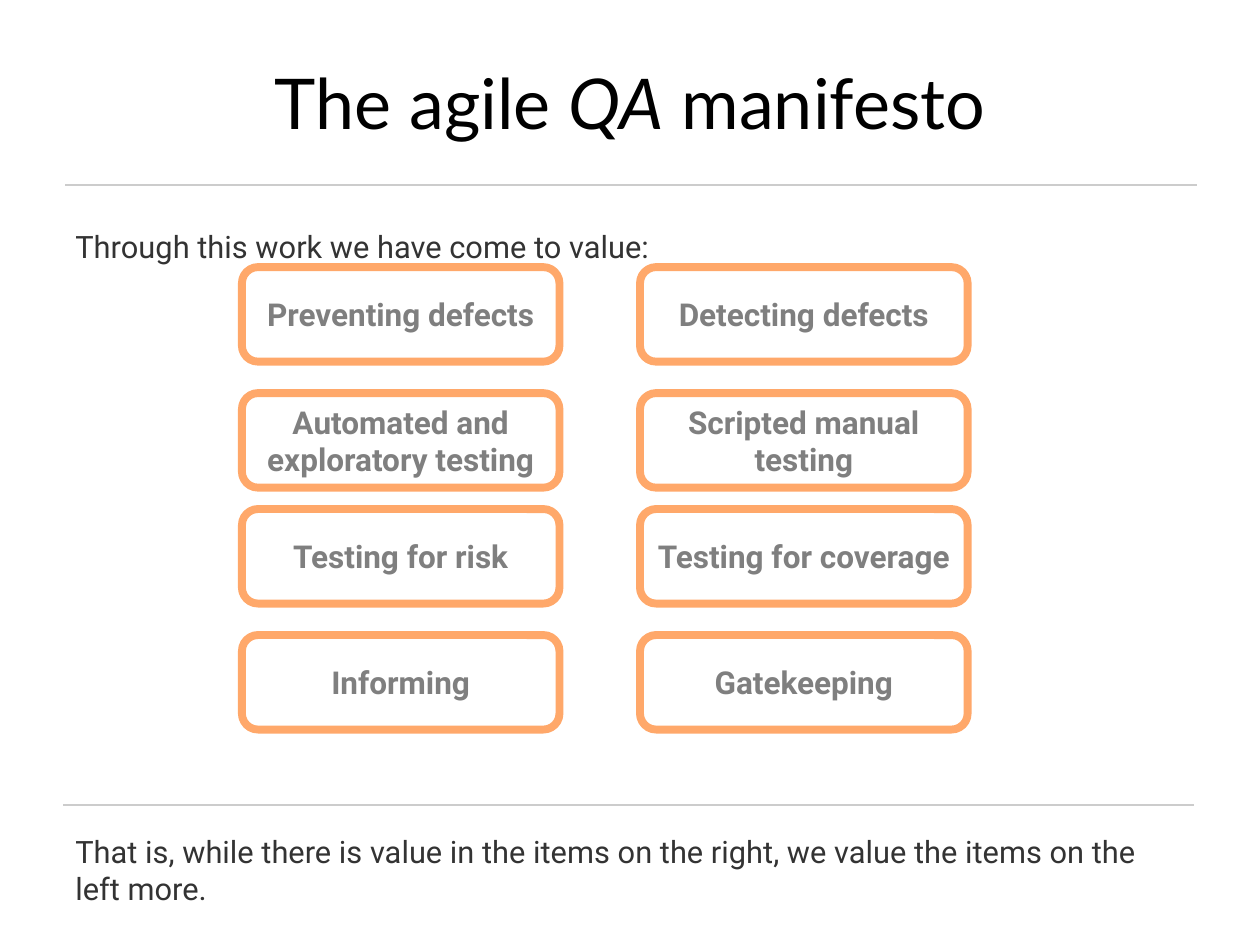
from lxml.etree import SubElement
from pptx import Presentation
from pptx.dml.color import RGBColor
from pptx.enum.shapes import MSO_CONNECTOR, MSO_SHAPE
from pptx.enum.text import MSO_ANCHOR, PP_ALIGN
from pptx.oxml.ns import qn
from pptx.util import Inches, Pt

# Content
TITLE = [("The agile ", False), ("QA", True), (" manifesto", False)]
INTRO = "Through this work we have come to value:"
CLOSING = ("That is, while there is value in the items on the right, "
           "we value the items on the left more.")
VALUES = [
    ("Preventing defects", "Detecting defects"),
    ("Automated and exploratory testing", "Scripted manual testing"),
    ("Testing for risk", "Testing for coverage"),
    ("Informing", "Gatekeeping"),
]

# Layout in inches
COLUMNS = [(1.92, 2.52), (5.08, 2.6)]  # left, width
ROW_TOPS = [2.12, 3.12, 4.04, 5.04]
CARD_HEIGHT = 0.75
RULES = [(0.52, 1.47), (0.5, 6.39)]  # left, top
RULE_WIDTH = 8.98
STATEMENTS = [(INTRO, 1.76, 0.4), (CLOSING, 6.56, 0.7)]  # text, top, height

BLACK = RGBColor(0x00, 0x00, 0x00)
DARK = RGBColor(0x33, 0x33, 0x33)
GREY = RGBColor(0x7F, 0x7F, 0x7F)
RULE_GREY = RGBColor(0xCC, 0xCC, 0xCC)
ORANGE = RGBColor(0xFF, 0xA8, 0x6A)
WHITE = RGBColor(0xFF, 0xFF, 0xFF)


def add_run(paragraph, text, font_name, size, color, bold=False, italic=False):
    run = paragraph.add_run()
    run.text = text
    font = run.font
    font.name, font.size = font_name, Pt(size)
    font.bold, font.italic = bold, italic
    font.color.rgb = color


def add_rule(slide, left, top):
    rule = slide.shapes.add_connector(
        MSO_CONNECTOR.STRAIGHT, Inches(left), Inches(top),
        Inches(left + RULE_WIDTH), Inches(top))
    rule.line.color.rgb = RULE_GREY
    rule.line.width = Pt(1)
    SubElement(rule._element.spPr, qn("a:effectLst"))


def add_statement(slide, text, top, height):
    statement = slide.shapes.add_textbox(
        Inches(0.5), Inches(top), Inches(9), Inches(height))
    statement.text_frame.word_wrap = True
    add_run(statement.text_frame.paragraphs[0], text, "Roboto", 17.6, DARK)


def add_card(slide, text, left, top, width):
    card = slide.shapes.add_shape(
        MSO_SHAPE.ROUNDED_RECTANGLE, Inches(left), Inches(top),
        Inches(width), Inches(CARD_HEIGHT))
    card.adjustments[0] = 0.17
    card.shadow.inherit = False
    card.fill.solid()
    card.fill.fore_color.rgb = WHITE
    card.line.color.rgb = ORANGE
    card.line.width = Pt(4.5)
    frame = card.text_frame
    frame.word_wrap = True
    frame.vertical_anchor = MSO_ANCHOR.MIDDLE
    frame.margin_left = frame.margin_right = Inches(0.04)
    frame.margin_top = frame.margin_bottom = Inches(0.04)
    frame.paragraphs[0].alignment = PP_ALIGN.CENTER
    add_run(frame.paragraphs[0], text, "Roboto", 18, GREY, bold=True)


def main():
    deck = Presentation()
    deck.slide_width, deck.slide_height = Inches(10), Inches(7.5)
    slide = deck.slides.add_slide(deck.slide_layouts[5])

    # Title
    title = slide.shapes.title
    title.left, title.top = Inches(0.5), Inches(0.3)
    title.width, title.height = Inches(9), Inches(1.01)
    title.text_frame.vertical_anchor = MSO_ANCHOR.MIDDLE
    heading = title.text_frame.paragraphs[0]
    heading.alignment = PP_ALIGN.CENTER
    for text, italic in TITLE:
        add_run(heading, text, "Lato", 40, BLACK, italic=italic)

    # Rules and the sentences around the values
    for left, top in RULES:
        add_rule(slide, left, top)
    for text, top, height in STATEMENTS:
        add_statement(slide, text, top, height)

    # Pairs of values
    for pair, top in zip(VALUES, ROW_TOPS):
        for text, (left, width) in zip(pair, COLUMNS):
            add_card(slide, text, left, top, width)

    deck.save("out.pptx")


if __name__ == "__main__":
    main()
